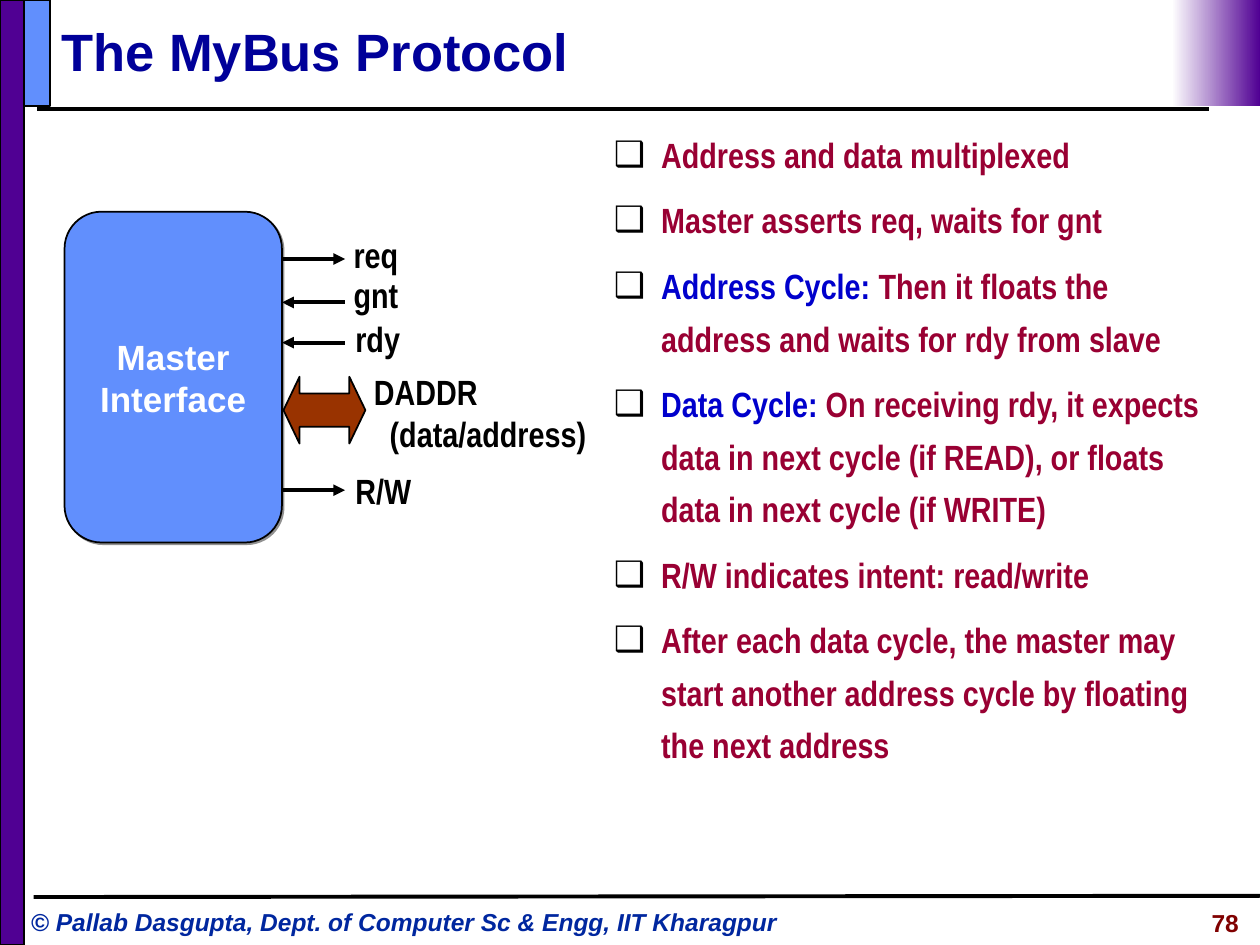
import pptx
import pptx.util
import pptx.dml.color
import pptx.enum.shapes
import pptx.enum.text
import pptx.oxml
import pptx.oxml.ns
from dataclasses import dataclass

Pt = pptx.util.Pt
Kind = pptx.enum.shapes.MSO_SHAPE
Align = pptx.enum.text.PP_ALIGN
Anchor = pptx.enum.text.MSO_ANCHOR
Fit = pptx.enum.text.MSO_AUTO_SIZE


@dataclass(frozen=True)
class Theme:
    sans: str = "Arial"
    slim: str = "Arial Narrow"
    head: int = 30
    text: int = 20
    foot: int = 14
    black: str = "000000"
    white: str = "FFFFFF"
    navy: str = "000099"
    blue: str = "0000CC"
    wine: str = "990033"
    mark: str = "00279F"
    count: str = "800000"
    plum: str = "500093"
    sky: str = "618FFD"
    rust: str = "993300"
    shade: str = "919191"


THEME = Theme()

POINTS = [
    ("", "Address and data multiplexed"),
    ("", "Master asserts req, waits for gnt"),
    ("Address Cycle: ", "Then it floats the address and waits for rdy from slave"),
    ("Data Cycle: ", "On receiving rdy, it expects data in next cycle "
                     "(if READ), or floats data in next cycle (if WRITE)"),
    ("", "R/W indicates intent: read/write"),
    ("", "After each data cycle, the master may start another "
         "address cycle by floating the next address"),
]

SIGNALS = [
    ("req", 195, 129.8, 148, True),
    ("gnt", 195, 152.6, 172.8, False),
    ("rdy", 196, 177.8, 195.8, False),
    ("R/W", 196, 265, 280.1, True),
]


def tint(code):
    return pptx.dml.color.RGBColor.from_string(code)


def node(host, xml):
    item = pptx.oxml.parse_xml(xml.replace(">", " " + pptx.oxml.ns.nsdecls("a") + ">", 1))
    host.append(item)


def style(font, face, size, color, slant=False):
    font.name = face
    font.size = Pt(size)
    font.bold = True
    font.italic = slant
    font.color.rgb = tint(color)


def place(shape, left, top, width, height):
    shape.left, shape.top = Pt(left), Pt(top)
    shape.width, shape.height = Pt(width), Pt(height)


def write(frame, lines, face, size, color, align=Align.LEFT, slant=False):
    frame.text = "\n".join(lines)
    for para in frame.paragraphs:
        para.alignment = align
        style(para.font, face, size, color, slant)


def label(slide, lines, left, top, width, height, face, size, color,
          align=Align.LEFT, slant=False):
    box = slide.shapes.add_textbox(Pt(left), Pt(top), Pt(width), Pt(height))
    box.text_frame.word_wrap = True
    write(box.text_frame, lines, face, size, color, align, slant)
    return box.text_frame


def block(slide, kind, left, top, width, height, fill):
    shape = slide.shapes.add_shape(kind, Pt(left), Pt(top), Pt(width), Pt(height))
    shape.shadow.inherit = False
    shape.fill.solid()
    shape.fill.fore_color.rgb = tint(fill)
    shape.line.color.rgb = tint(THEME.black)
    shape.line.width = Pt(1)
    return shape


def rule(slide, start, end, tip=None):
    line = slide.shapes.add_connector(
        pptx.enum.shapes.MSO_CONNECTOR.STRAIGHT, *map(Pt, start + end))
    line.line.color.rgb = tint(THEME.black)
    line.line.width = Pt(2.25)
    if tip:
        node(line.line._get_or_add_ln(), f'<a:{tip} type="triangle"></a:{tip}>')
    node(line._element.spPr, "<a:effectLst></a:effectLst>")


def fade(slide, left, top, width, height):
    shape = block(slide, Kind.RECTANGLE, left, top, width, height, THEME.plum)
    shape.line.fill.background()
    shape.fill.gradient()
    shape.fill.gradient_angle = 180
    for stop, color in zip(shape.fill.gradient_stops, (THEME.plum, THEME.white)):
        stop.color.rgb = tint(color)


def frame(slide):
    rule(slide, (21.4, 62.4), (691, 62.4))
    label(slide, ["© Pallab Dasgupta, Dept. of Computer Sc & Engg, IIT Kharagpur"],
          10.6, 514.8, 458.6, 24.5, THEME.sans, THEME.foot, THEME.mark, slant=True)
    block(slide, Kind.RECTANGLE, 0, 0, 13.7, 540, THEME.plum)
    rule(slide, (19.2, 512.6), (720, 511.9))
    block(slide, Kind.RECTANGLE, 13.7, 0, 14.8, 60.5, THEME.sky)
    fade(slide, 669.6, 0, 50.4, 60.5)
    label(slide, ["78"], 589, 515.5, 126, 25.2, THEME.sans, THEME.foot,
          THEME.count, Align.RIGHT)


def title(slide):
    shape = slide.shapes.title
    place(shape, 27.9, 7.2, 655.2, 43.9)
    shape.text_frame.auto_size = Fit.NONE
    shape.text_frame.vertical_anchor = Anchor.MIDDLE
    write(shape.text_frame, ["The MyBus Protocol"], THEME.sans, THEME.head, THEME.navy)


def bullets(slide):
    shape = slide.placeholders[1]
    place(shape, 343.6, 66.6, 360, 460.8)
    text = shape.text_frame
    text.auto_size = Fit.NONE
    for i, (lead, rest) in enumerate(POINTS):
        para = text.add_paragraph() if i else text.paragraphs[0]
        para.line_spacing = 1.25
        para.space_before = Pt(7.5 if i else 0)
        props = para._p.get_or_add_pPr()
        props.set("marL", str(Pt(27)))
        props.set("indent", str(-Pt(27)))
        node(props, f'<a:buClr><a:srgbClr val="{THEME.black}"/></a:buClr>')
        node(props, '<a:buChar char="❑"></a:buChar>')
        style(para.font, THEME.slim, THEME.text, THEME.wine)
        if lead:
            run = para.add_run()
            run.text = lead
            run.font.color.rgb = tint(THEME.blue)
        para.add_run().text = rest


def master(slide):
    shape = block(slide, Kind.ROUNDED_RECTANGLE, 36.9, 121, 124.2, 189, THEME.sky)
    shape.adjustments[0] = 0.17
    effect = shape._element.spPr.find(pptx.oxml.ns.qn("a:effectLst"))
    node(effect, f'<a:outerShdw blurRad="0" dist="{Pt(1.4)}" dir="2700000">'
                 f'<a:srgbClr val="{THEME.shade}"/></a:outerShdw>')
    shape.text_frame.word_wrap = False
    shape.text_frame.vertical_anchor = Anchor.MIDDLE
    write(shape.text_frame, ["Master", "Interface"], THEME.sans, THEME.text,
          THEME.white, Align.CENTER)


def signals(slide):
    for name, left, top, wire, out in SIGNALS:
        label(slide, [name], left, top, 52, 31.7, THEME.slim, THEME.text, THEME.black)
        rule(slide, (161.2, wire), (197.2, wire), "tailEnd" if out else "headEnd")
    arrow = block(slide, Kind.LEFT_RIGHT_ARROW, 162, 215.3, 46.8, 38.2, THEME.rust)
    arrow.adjustments[0] = 0.5
    arrow.adjustments[1] = 0.24
    text = label(slide, ["DADDR", "(data/address)"], 206.6, 208.1, 146, 55.4,
                 THEME.slim, THEME.text, THEME.black)
    text.paragraphs[1]._p.get_or_add_pPr().set("marL", str(Pt(9)))


def main():
    deck = pptx.Presentation()
    deck.slide_width, deck.slide_height = Pt(720), Pt(540)
    slide = deck.slides.add_slide(deck.slide_layouts[1])
    frame(slide)
    title(slide)
    bullets(slide)
    master(slide)
    signals(slide)
    deck.save("out.pptx")


if __name__ == "__main__":
    main()
